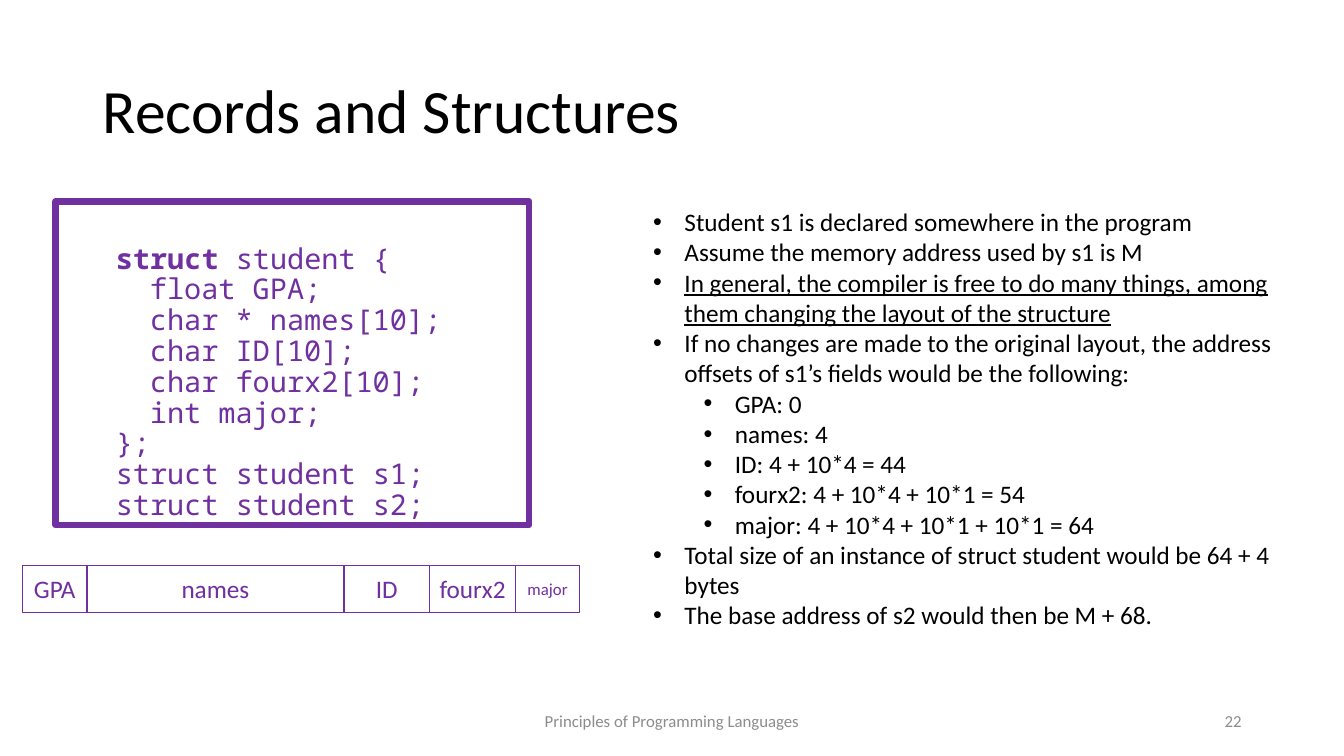
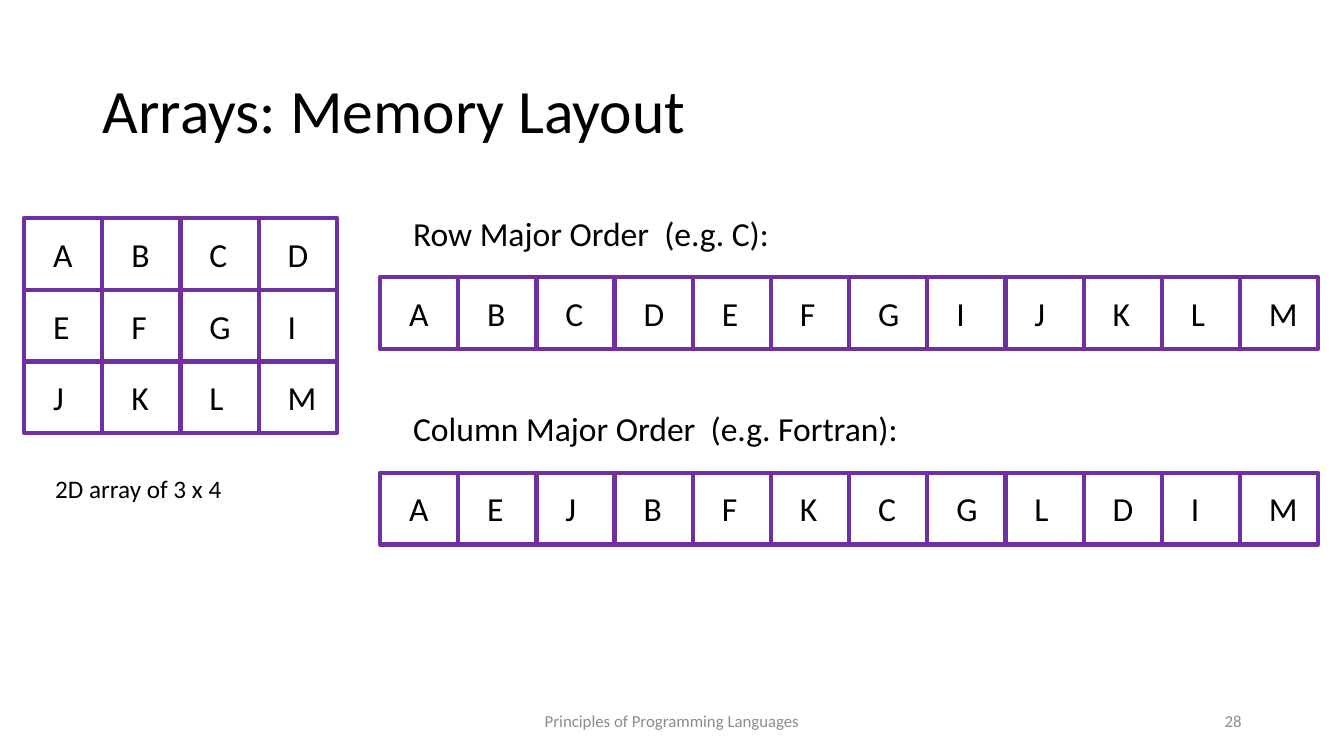
"""Build two lecture slides on record layout and array memory order."""
from dataclasses import dataclass
from itertools import chain

from lxml import etree
from pptx import Presentation
from pptx import util as u
from pptx.dml import color
from pptx.enum import shapes, text
from pptx.oxml import ns


@dataclass(frozen=True)
class Theme:
    ink: str = "000000"
    accent: str = "7030A0"
    muted: str = "8C8C8C"
    body_font: str = "Calibri"
    code_font: str = "Noto Sans Mono"
    title_size: float = 44
    letter_size: float = 24
    code_size: float = 20.4
    body_size: float = 18
    small_size: float = 12
    code_pitch: float = 22


class Deck:
    def __init__(self, theme):
        self.theme = theme
        self.presentation = Presentation()
        self.presentation.slide_width = u.Cm(33.87)
        self.presentation.slide_height = u.Cm(19.05)
        self.slide = None

    def new_slide(self, title, number):
        blank = self.presentation.slide_layouts[6]
        self.slide = self.presentation.slides.add_slide(blank)
        theme = self.theme
        middle = text.MSO_ANCHOR.MIDDLE
        self.label(title, (2.34, 1.02, 29.21, 3.68), size=theme.title_size,
                   frame={"vertical_anchor": middle}, layout={"line_spacing": 0.9})
        footers = (
            ("Principles of Programming Languages", 11.22, 11.43, text.PP_ALIGN.CENTER),
            (str(number), 23.92, 7.62, text.PP_ALIGN.RIGHT),
        )
        for words, left, width, alignment in footers:
            self.label(words, (left, 17.65, width, 1.02), size=theme.small_size,
                       ink=theme.muted, frame={"vertical_anchor": middle},
                       layout={"alignment": alignment})

    def apply(self, target, formats):
        for key, value in formats.items():
            setattr(target, key, value)

    def add_run(self, paragraph, words, size, ink=None, font=None, **style):
        run = paragraph.add_run()
        run.text = words
        self.apply(run.font, {"size": u.Pt(size), "name": font or self.theme.body_font, **style})
        run.font.color.rgb = color.RGBColor.from_string(ink or self.theme.ink)

    def indent(self, paragraph, left, hanging=0, bullet=None):
        properties = paragraph._p.get_or_add_pPr()
        properties.set("marL", str(u.Cm(left)))
        properties.set("indent", str(-u.Cm(hanging)))
        if bullet:
            etree.SubElement(properties, ns.qn("a:buFont"), typeface="Arial")
            etree.SubElement(properties, ns.qn("a:buChar"), char=bullet)

    def paragraphs(self, frame, count):
        yield frame.paragraphs[0]
        for _ in range(count - 1):
            yield frame.add_paragraph()

    def label(self, words, box, size, ink=None, frame=None, layout=None):
        holder = self.slide.shapes.add_textbox(*map(u.Cm, box)).text_frame
        self.apply(holder, {"word_wrap": True, **(frame or {})})
        self.apply(holder.paragraphs[0], layout or {})
        self.add_run(holder.paragraphs[0], words, size, ink)

    def bullets(self, items, box):
        holder = self.slide.shapes.add_textbox(*map(u.Cm, box)).text_frame
        holder.word_wrap = True
        for paragraph, (level, words, style) in zip(self.paragraphs(holder, len(items)), items):
            paragraph.level = level
            self.indent(paragraph, 0.79 + 1.27 * level, 0.79, "•")
            self.add_run(paragraph, words, self.theme.body_size, **style)

    def outline(self, box, weight, **frame):
        rectangle = self.slide.shapes.add_shape(shapes.MSO_SHAPE.RECTANGLE, *map(u.Cm, box))
        rectangle.shadow.inherit = False
        rectangle.fill.background()
        rectangle.line.width = u.Pt(weight)
        rectangle.line.color.rgb = color.RGBColor.from_string(self.theme.accent)
        self.apply(rectangle.text_frame, {"word_wrap": True, **frame})
        return rectangle.text_frame

    def code(self, lines, box):
        theme = self.theme
        holder = self.outline(box, 4.5, vertical_anchor=text.MSO_ANCHOR.TOP,
                              margin_left=u.Cm(1.52), margin_top=u.Cm(1.07),
                              margin_bottom=0)
        for paragraph, (depth, runs) in zip(self.paragraphs(holder, len(lines)), lines):
            self.apply(paragraph, {"alignment": text.PP_ALIGN.LEFT,
                                   "line_spacing": u.Pt(theme.code_pitch)})
            self.indent(paragraph, 0.86 * depth)
            for words, bold in runs:
                self.add_run(paragraph, words, theme.code_size, theme.accent,
                             theme.code_font, bold=bold)

    def field_strip(self, fields, left, top, height, unit):
        for name, units, size in fields:
            width = units * unit
            holder = self.outline((left, top, width, height), 1, margin_left=0, margin_right=0,
                                  vertical_anchor=text.MSO_ANCHOR.MIDDLE)
            holder.paragraphs[0].alignment = text.PP_ALIGN.CENTER
            self.add_run(holder.paragraphs[0], name, size, self.theme.accent)
            left += width

    def grid(self, rows, left, top, width=1.97, height=1.81):
        for row, letters in enumerate(rows):
            for column, letter in enumerate(letters):
                box = (left + column * width, top + row * height, width, height)
                holder = self.outline(box, 3, margin_left=u.Cm(0.73), margin_right=0,
                                      vertical_anchor=text.MSO_ANCHOR.MIDDLE)
                holder.paragraphs[0].alignment = text.PP_ALIGN.LEFT
                self.add_run(holder.paragraphs[0], letter, self.theme.letter_size)


def records_slide(deck):
    theme = deck.theme
    deck.new_slide("Records and Structures", 22)
    members = ("float GPA;", "char * names[10];", "char ID[10];", "char fourx2[10];", "int major;")
    closing = ("};", "struct student s1;", "struct student s2;")
    lines = [(0, [("struct", True), (" student {", False)])]
    lines += [(1, [(member, False)]) for member in members]
    lines += [(0, [(line, False)]) for line in closing]
    deck.code(lines, (1.4, 5.08, 11.94, 8.15))
    deck.bullets([
        (0, "Student s1 is declared somewhere in the program", {}),
        (0, "Assume the memory address used by s1 is M", {}),
        (0, "In general, the compiler is free to do many things, among them "
            "changing the layout of the structure", {"underline": True}),
        (0, "If no changes are made to the original layout, the address offsets "
            "of s1’s fields would be the following:", {}),
        (1, "GPA: 0", {}),
        (1, "names: 4", {}),
        (1, "ID: 4 + 10*4 = 44", {}),
        (1, "fourx2: 4 + 10*4 + 10*1 = 54", {}),
        (1, "major: 4 + 10*4 + 10*1 + 10*1 = 64", {}),
        (0, "Total size of an instance of struct student would be 64 + 4 bytes", {}),
        (0, "The base address of s2 would then be M + 68.", {}),
    ], (16.21, 5.08, 16.76, 11.79))
    deck.field_strip([
        ("GPA", 3, theme.body_size),
        ("names", 12, theme.body_size),
        ("ID", 4, theme.body_size),
        ("fourx2", 4, theme.body_size),
        ("major", 3, theme.small_size),
    ], left=0.57, top=14.25, height=1.18, unit=0.54)


def arrays_slide(deck):
    theme = deck.theme
    deck.new_slide("Arrays: Memory Layout", 28)
    matrix = ("ABCD", "EFGI", "JKLM")
    deck.grid(matrix, 0.61, 5.49)
    deck.label("2D array of 3 x 4", (1.14, 11.81, 6, 1.02), size=theme.body_size)
    orders = (
        ("Row Major Order  (e.g. C):", matrix, 5.23),
        ("Column Major Order  (e.g. Fortran):", zip(*matrix), 10.16),
    )
    for heading, sequence, top in orders:
        deck.label(heading, (10.16, top, 14, 1.27), size=theme.letter_size)
        deck.grid([chain.from_iterable(sequence)], 9.58, top + 1.75)


def main():
    deck = Deck(Theme())
    records_slide(deck)
    arrays_slide(deck)
    deck.presentation.save("out.pptx")


if __name__ == "__main__":
    main()
